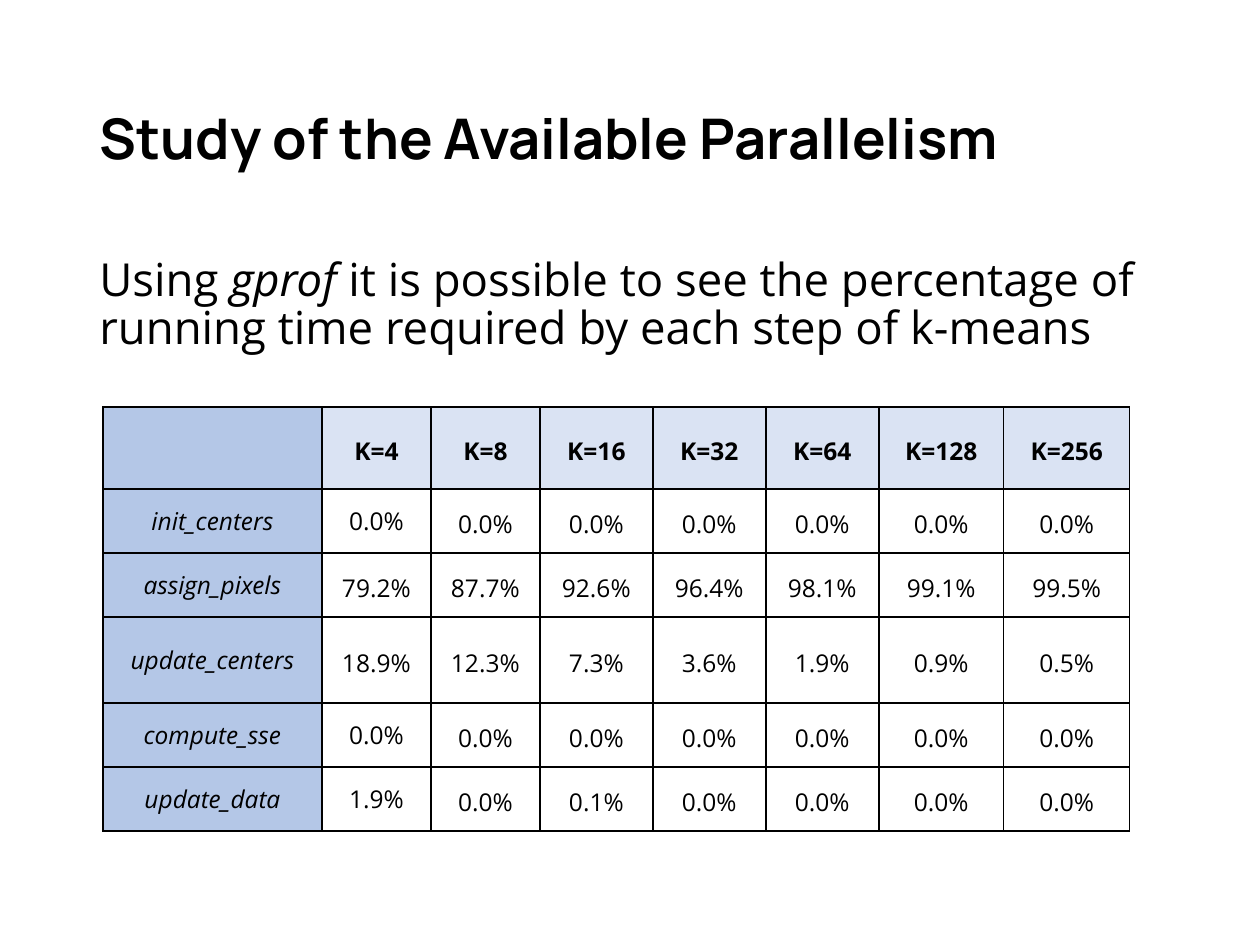
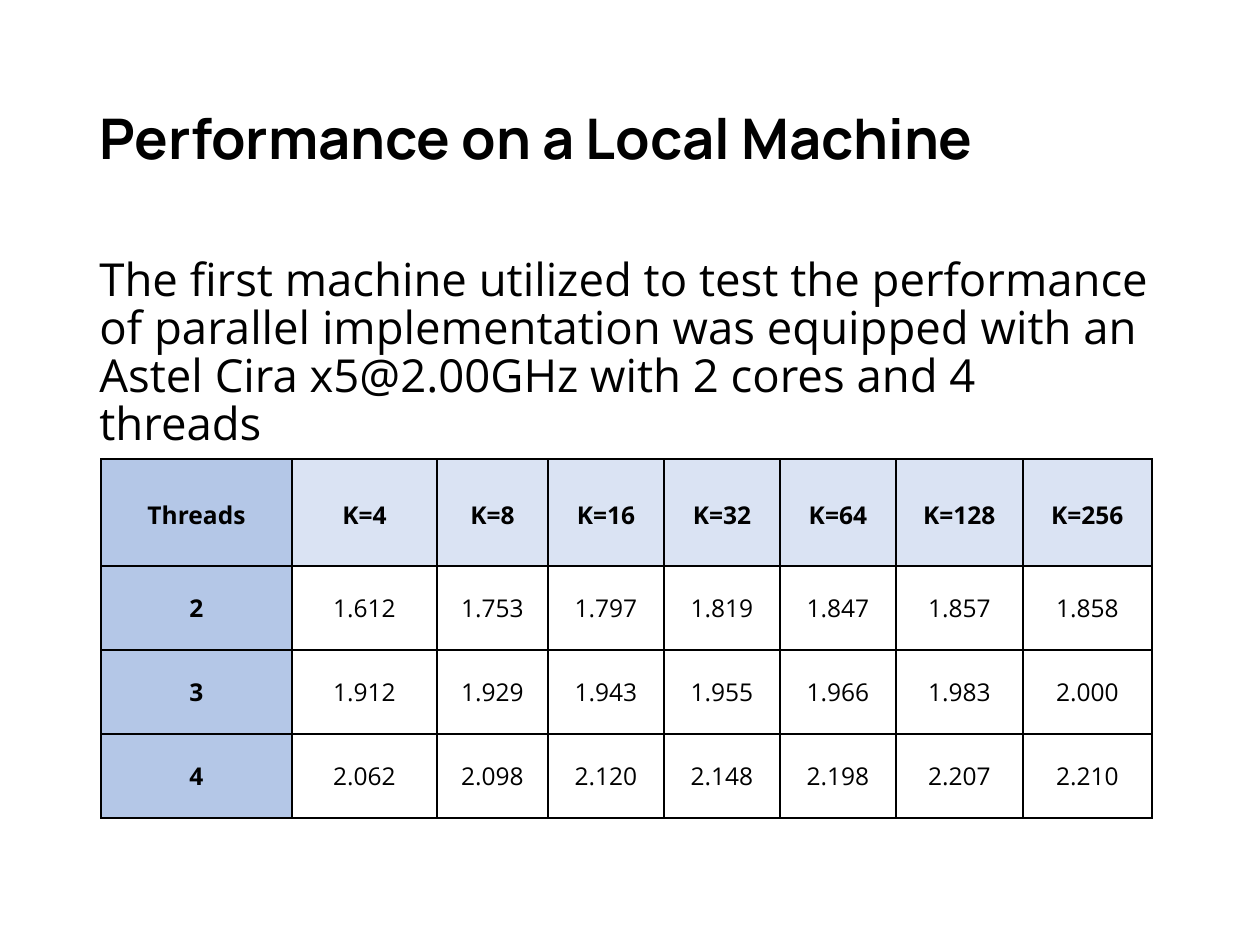
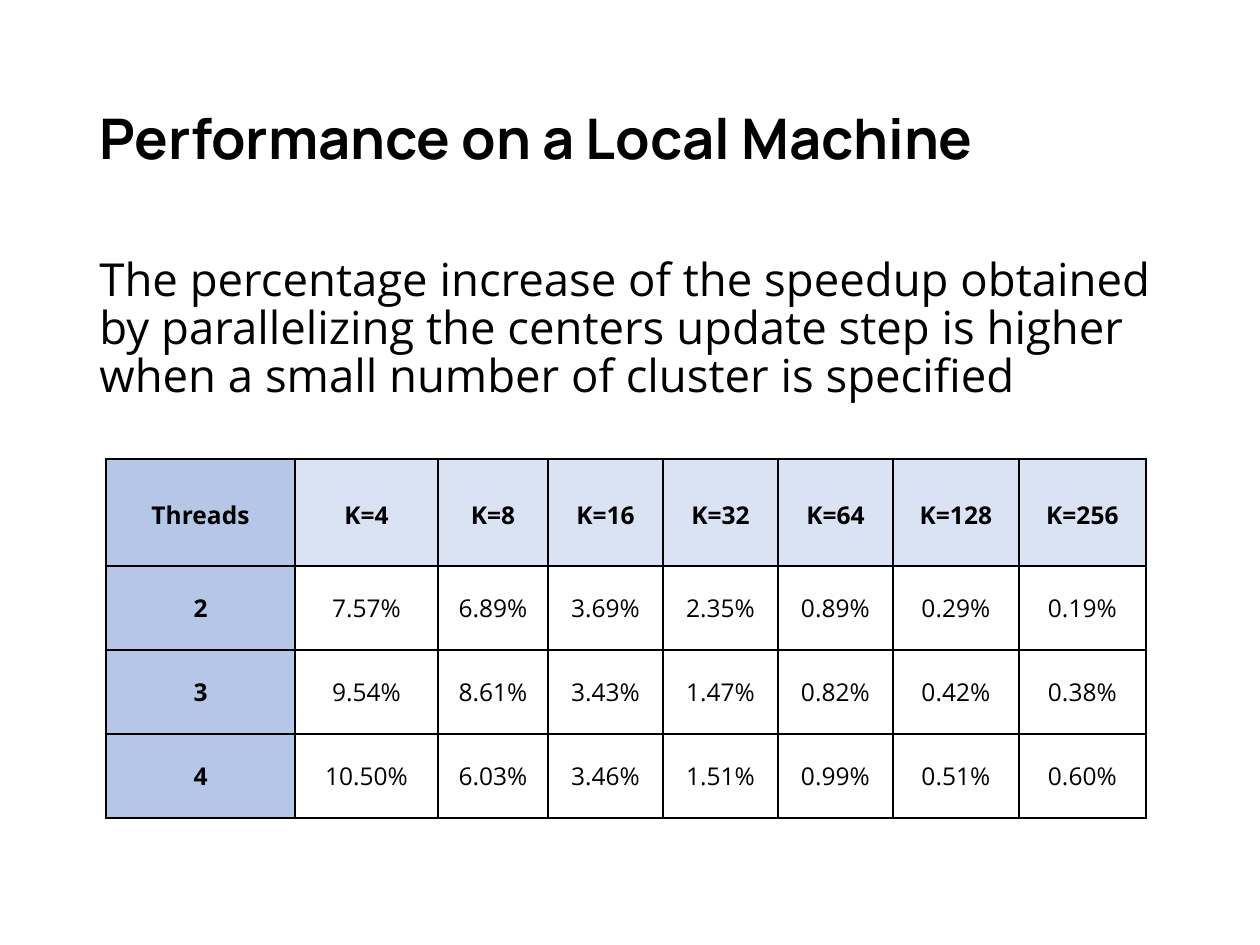
from lxml.etree import SubElement
from pptx import Presentation
from pptx.dml.color import RGBColor
from pptx.enum.text import MSO_ANCHOR, MSO_AUTO_SIZE, PP_ALIGN
from pptx.oxml.ns import qn
from pptx.util import Emu, Pt

PX = 914400 / 126
BLACK = RGBColor(0x00, 0x00, 0x00)
WHITE = RGBColor(0xFF, 0xFF, 0xFF)
LABEL_BLUE = RGBColor(0xB4, 0xC7, 0xE7)
HEADER_BLUE = RGBColor(0xDA, 0xE3, 0xF3)
TITLE_FONT = "Manrope"
BODY_FONT = "Open Sans"
TITLE_ONLY = 5
CLUSTER_COUNTS = [f"K={2 ** power}" for power in range(2, 9)]


def px(length):
    return Emu(round(length * PX))


def place(shape, left, top, width, height):
    shape.left, shape.top = px(left), px(top)
    shape.width, shape.height = px(width), px(height)


def add_span(para, text, *, size, font=BODY_FONT, bold=False, italic=False):
    span = para.add_run()
    span.text = text
    span.font.name = font
    span.font.size = Pt(size)
    span.font.bold = bold
    span.font.italic = italic
    span.font.color.rgb = BLACK


def add_page(deck, title):
    page = deck.slides.add_slide(deck.slide_layouts[TITLE_ONLY])
    place(page.shapes.title, 87, 50, 1086, 183)
    frame = page.shapes.title.text_frame
    frame.auto_size = MSO_AUTO_SIZE.NONE
    frame.vertical_anchor = MSO_ANCHOR.MIDDLE
    para = frame.paragraphs[0]
    para.alignment = PP_ALIGN.LEFT
    para.line_spacing = 0.9
    add_span(para, title, size=32, font=TITLE_FONT, bold=True)
    return page


def add_intro(page, *spans, width=1088, height=207):
    """Add the paragraph above the table; each span is (text, italic)."""
    box = page.shapes.add_textbox(px(87), px(252), px(width), px(height))
    box.text_frame.word_wrap = True
    para = box.text_frame.paragraphs[0]
    para.line_spacing = 0.88
    for text, italic in spans:
        add_span(para, text, size=26, italic=italic)


def add_borders(cell):
    properties = cell._tc.get_or_add_tcPr()
    for position, side in enumerate(("lnL", "lnR", "lnT", "lnB")):
        line = properties.makeelement(qn(f"a:{side}"), {"w": str(Pt(1))})
        fill = SubElement(line, qn("a:solidFill"))
        SubElement(fill, qn("a:srgbClr"), {"val": str(BLACK)})
        properties.insert(position, line)


def format_cell(cell, text, *, fill, spacing, bold=False, italic=False):
    cell.fill.solid()
    cell.fill.fore_color.rgb = fill
    cell.vertical_anchor = MSO_ANCHOR.MIDDLE
    cell.margin_left = cell.margin_right = px(9)
    cell.margin_top = cell.margin_bottom = 0
    add_borders(cell)
    para = cell.text_frame.paragraphs[0]
    para.alignment = PP_ALIGN.CENTER
    para.line_spacing = spacing
    if text:
        add_span(para, text, size=14, bold=bold, italic=italic)


def add_results(page, left, top, widths, heights, corner, rows, *,
                italic_labels=False, spacing=1.0, single_spaced=()):
    """Add a table of results per K; single_spaced lists (row, column) pairs."""
    table = page.shapes.add_table(
        len(heights), len(widths), px(left), px(top),
        px(sum(widths)), px(sum(heights))).table
    for column, width in zip(table.columns, widths):
        column.width = px(width)
    for row, height in zip(table.rows, heights):
        row.height = px(height)

    for i, texts in enumerate([[corner, *CLUSTER_COUNTS], *rows]):
        for j, text in enumerate(texts):
            header, label = i == 0, j == 0
            fill = LABEL_BLUE if label else HEADER_BLUE if header else WHITE
            if header:
                cell_spacing = 1.15
            else:
                cell_spacing = 1.0 if label or (i, j) in single_spaced else spacing
            format_cell(
                table.cell(i, j), text, fill=fill, spacing=cell_spacing,
                bold=header or (label and not italic_labels),
                italic=label and italic_labels)


def add_parallelism_page(deck):
    page = add_page(deck, "Study of the Available Parallelism")
    shares = [
        ["init_centers"] + ["0.0%"] * 7,
        ["assign_pixels", "79.2%", "87.7%", "92.6%", "96.4%", "98.1%", "99.1%", "99.5%"],
        ["update_centers", "18.9%", "12.3%", "7.3%", "3.6%", "1.9%", "0.9%", "0.5%"],
        ["compute_sse"] + ["0.0%"] * 7,
        ["update_data", "1.9%", "0.0%", "0.1%", "0.0%", "0.0%", "0.0%", "0.0%"],
    ]
    add_results(page, 103, 407, [219, 109, 109, 113, 113, 113, 125, 126],
                [82, 64, 64, 86, 64, 64], "", shares, italic_labels=True,
                spacing=1.15, single_spaced=[(1, 1), (4, 1), (5, 1)])
    add_intro(page, ("Using ", False), ("gprof ", True),
              ("it is possible to see the percentage of running time "
               "required by each step of k-means", False),
              width=1084, height=132)


def add_speedup_page(deck):
    page = add_page(deck, "Performance on a Local Machine")
    speedups = [
        ["2", "1.612", "1.753", "1.797", "1.819", "1.847", "1.857", "1.858"],
        ["3", "1.912", "1.929", "1.943", "1.955", "1.966", "1.983", "2.000"],
        ["4", "2.062", "2.098", "2.120", "2.148", "2.198", "2.207", "2.210"],
    ]
    add_results(page, 101, 459, [191, 145, 111, 116, 116, 116, 127, 129],
                [107, 84, 84, 84], "Threads", speedups)
    add_intro(page, ("The first machine utilized to test the performance of "
                     "parallel implementation was equipped with an "
                     "Astel Cira x5@2.00GHz with 2 cores and 4  threads", False))


def add_increase_page(deck):
    page = add_page(deck, "Performance on a Local Machine")
    increases = [
        ["2", "7.57%", "6.89%", "3.69%", "2.35%", "0.89%", "0.29%", "0.19%"],
        ["3", "9.54%", "8.61%", "3.43%", "1.47%", "0.82%", "0.42%", "0.38%"],
        ["4", "10.50%", "6.03%", "3.46%", "1.51%", "0.99%", "0.51%", "0.60%"],
    ]
    add_results(page, 106, 459, [189, 143, 110, 115, 115, 115, 126, 127],
                [107, 84, 84, 84], "Threads", increases)
    add_intro(page, ("The percentage increase of the speedup obtained by "
                     "parallelizing the centers update step is higher when "
                     "a small number of cluster is specified", False))


def main():
    deck = Presentation()
    deck.slide_width, deck.slide_height = px(1260), px(945)
    add_parallelism_page(deck)
    add_speedup_page(deck)
    add_increase_page(deck)
    deck.save("out.pptx")


if __name__ == "__main__":
    main()
